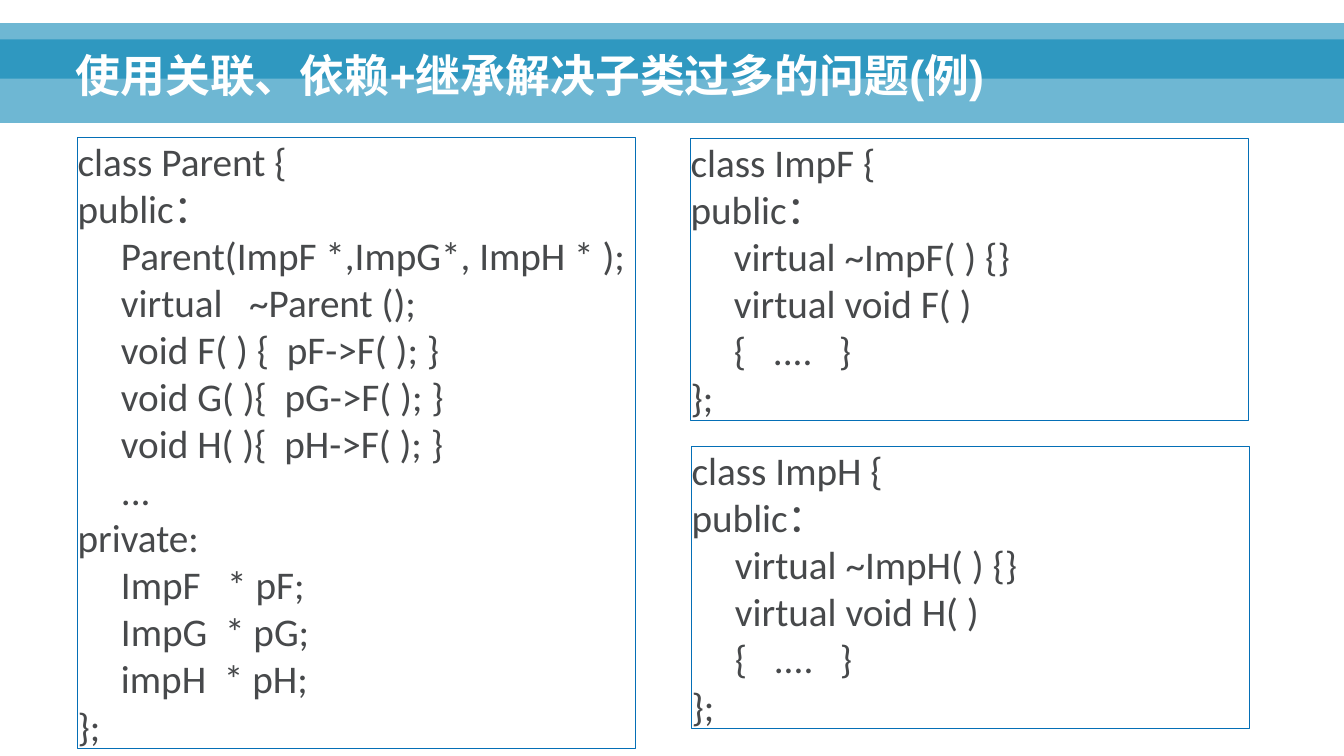
from lxml import etree
from pptx import Presentation
from pptx.dml.color import RGBColor
from pptx.enum.shapes import MSO_SHAPE as SHAPE
from pptx.enum.text import MSO_ANCHOR as ANCHOR, MSO_AUTO_SIZE as AUTO, PP_ALIGN as ALIGN
from pptx.oxml.ns import qn
from pptx.util import Inches, Pt

HANG = Inches(0.43)

PARENT = [
    ["class Parent {"],
    ["public：", "Parent(ImpF *,ImpG*, ImpH * );", "virtual   ~Parent ();",
     "void F( ) {  pF->F( ); }", "void G( ){  pG->F( ); }",
     "void H( ){  pH->F( ); }", "..."],
    ["private:", "ImpF   * pF;", "ImpG  * pG;", "impH  * pH;"],
    ["};"],
]


def imp_class(letter):
    return [
        [f"class Imp{letter} {{"],
        ["public：", f"virtual ~Imp{letter}( ) {{}}", f"virtual void {letter}( )",
         "{   ....   }"],
        ["};"],
    ]


def paint(color_format, value):
    color_format.rgb = RGBColor.from_string(value)


def set_font(p, name, size, color, bold=False):
    p.font.name = name
    p.font.size = Pt(size)
    p.font.bold = bold
    paint(p.font.color, color)


def add_rect(slide, left, top, width, height, fill):
    sp = slide.shapes.add_shape(SHAPE.RECTANGLE, Inches(left), Inches(top),
                                Inches(width), Inches(height))
    sp.shadow.inherit = False
    sp.fill.solid()
    paint(sp.fill.fore_color, fill)
    return sp


def add_band(slide, top, height):
    sp = add_rect(slide, 0, top, 13.33, height, "0082B3")
    sp.line.fill.background()
    color = sp.element.spPr.find(qn("a:solidFill"))[0]
    etree.SubElement(color, qn("a:alpha")).set("val", "57000")


def place_title(slide, text):
    title = slide.shapes.title
    title.left, title.top = Inches(0.65), Inches(0.19)
    title.width, title.height = Inches(11.98), Inches(0.87)
    tf = title.text_frame
    tf.text = text
    tf.word_wrap = True
    tf.auto_size = AUTO.NONE
    tf.vertical_anchor = ANCHOR.BOTTOM
    p = tf.paragraphs[0]
    p.alignment = ALIGN.LEFT
    p.line_spacing = 0.9
    set_font(p, "Arial", 32, "FFFFFF", bold=True)
    title.element.getparent().append(title.element)


def add_code(slide, left, top, height, sections):
    sp = add_rect(slide, left, top, 5.53, height, "FFFFFF")
    paint(sp.line.color, "046FB6")
    sp.line.width = Pt(0.75)
    tf = sp.text_frame
    tf.margin_left = tf.margin_top = tf.margin_right = tf.margin_bottom = 0
    tf.word_wrap = True
    tf.auto_size = AUTO.SHAPE_TO_FIT_TEXT
    tf.vertical_anchor = ANCHOR.TOP
    for i, lines in enumerate(sections):
        p = tf.add_paragraph() if i else tf.paragraphs[0]
        p.text = "\v".join(lines)
        p.alignment = ALIGN.LEFT
        pPr = p._p.get_or_add_pPr()
        pPr.set("marL", str(HANG))
        pPr.set("indent", str(-HANG))
        set_font(p, "Calibri", 28, "47494B")


def main():
    prs = Presentation()
    prs.slide_width, prs.slide_height = Inches(13.33), Inches(7.5)
    slide = prs.slides.add_slide(prs.slide_layouts[5])
    add_band(slide, 0.39, 0.83)
    add_band(slide, 0.23, 0.55)
    place_title(slide, "使用关联、依赖+继承解决子类过多的问题(例)")
    add_code(slide, 0.77, 1.36, 6.07, PARENT)
    add_code(slide, 6.85, 1.37, 2.8, imp_class("F"))
    add_code(slide, 6.86, 4.43, 2.8, imp_class("H"))
    prs.save("out.pptx")


if __name__ == "__main__":
    main()
